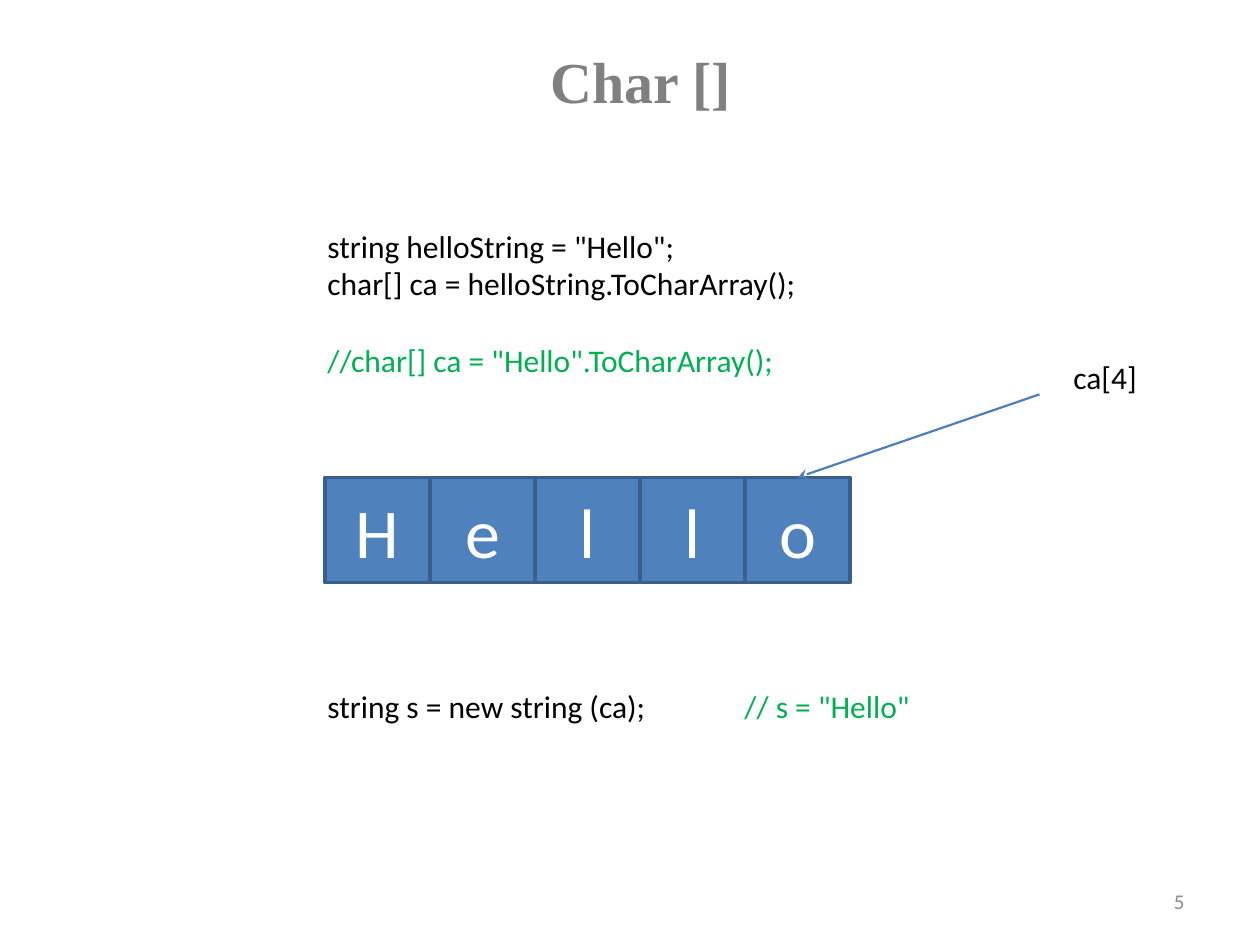
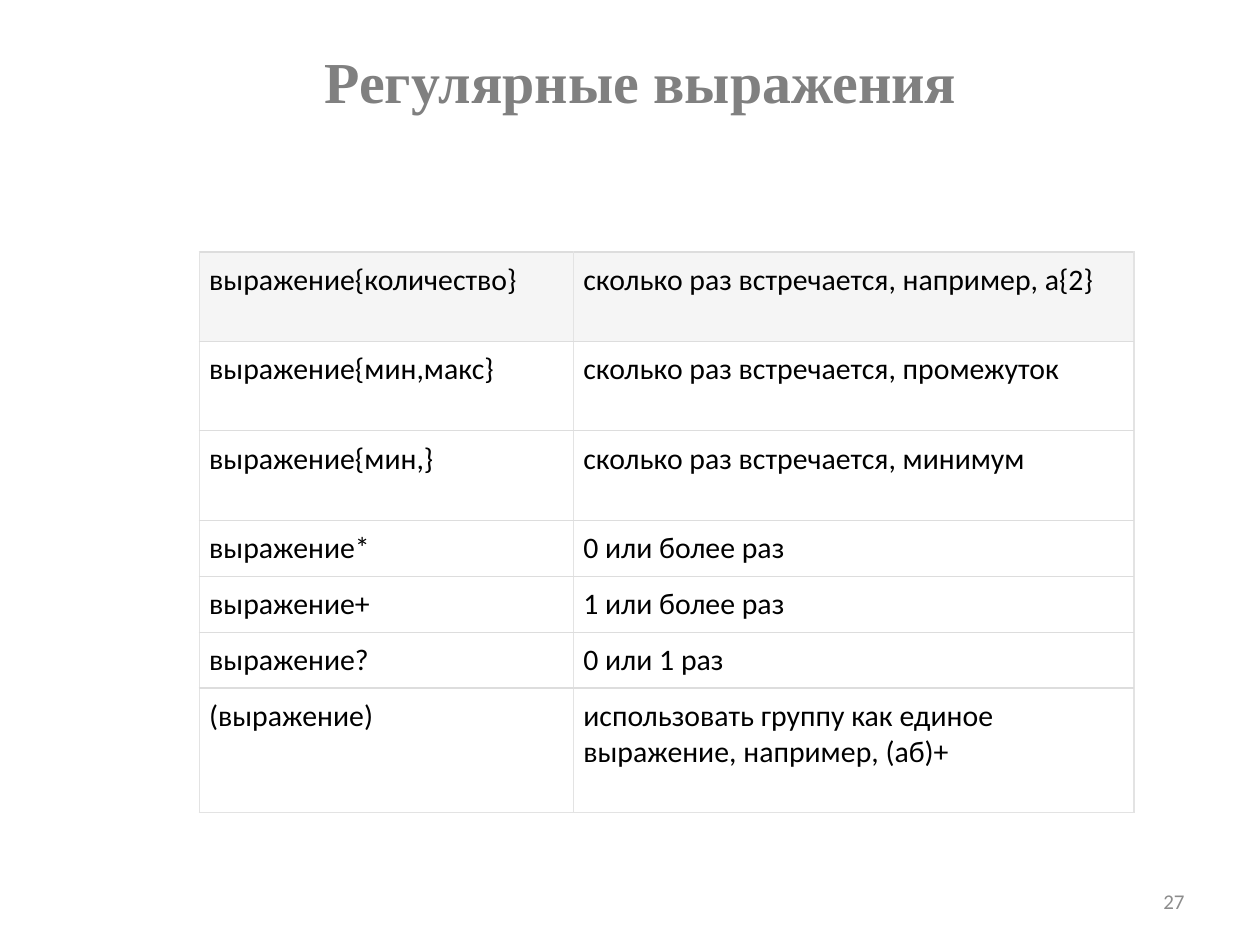
from lxml.etree import SubElement
from pptx import Presentation
from pptx.dml.color import RGBColor
from pptx.enum.shapes import MSO_CONNECTOR, MSO_SHAPE
from pptx.enum.text import MSO_ANCHOR, MSO_AUTO_SIZE, PP_ALIGN
from pptx.oxml.ns import qn
from pptx.util import Inches, Pt

COLORS = {
    "title": "808080", "number": "8C8C8C", "text": "000000", "comment": "00B050",
    "box": "4F81BD", "box_line": "3A5F8C", "arrow": "4B7EBC", "white": "FFFFFF",
    "header": "F5F5F5", "side": "E3E3E3", "rule": "DDDDDD",
}


def rgb(name):
    return RGBColor.from_string(COLORS[name])


def add_run(p, text, size=18, color="text", font="Calibri", bold=False):
    r = p.add_run()
    r.text = text
    r.font.size, r.font.name, r.font.bold = Pt(size), font, bold
    r.font.color.rgb = rgb(color)


class Deck:
    def __init__(self):
        self.prs = Presentation()
        self.prs.slide_width, self.prs.slide_height = Inches(10), Inches(7.5)
        self.s = None

    def slide(self, title, number):
        self.s = self.prs.slides.add_slide(self.prs.slide_layouts[6])
        p = self.text(1, 0.42, 8.17, 0.58, title, align=PP_ALIGN.CENTER, size=33.1,
                      color="title", font="Times New Roman", bold=True)
        p.line_spacing, p.space_before = 0.8, Pt(3.6)
        self.text(7.17, 6.95, 2.33, 0.4, str(number), align=PP_ALIGN.RIGHT,
                  anchor=MSO_ANCHOR.MIDDLE, size=12, color="number")

    def frame(self, x, y, w, h, wrap=True, anchor=MSO_ANCHOR.TOP):
        sp = self.s.shapes.add_textbox(Inches(x), Inches(y), Inches(w), Inches(h))
        tf = sp.text_frame
        tf.word_wrap, tf.vertical_anchor = wrap, anchor
        return tf

    def text(self, x, y, w, h, text, align=PP_ALIGN.LEFT, wrap=True,
             anchor=MSO_ANCHOR.TOP, **fmt):
        p = self.frame(x, y, w, h, wrap, anchor).paragraphs[0]
        p.alignment = align
        add_run(p, text, **fmt)
        return p

    def code(self, x, y, w, h, lines, tab):
        """Each line is (space before in points, [(text, color), ...])."""
        tf = self.frame(x, y, w, h)
        tf.auto_size = MSO_AUTO_SIZE.SHAPE_TO_FIT_TEXT
        for i, (gap, parts) in enumerate(lines):
            p = tf.add_paragraph() if i else tf.paragraphs[0]
            p.space_before = Pt(gap)
            if len(parts) > 1:
                tabs = SubElement(p._p.get_or_add_pPr(), qn("a:tabLst"))
                SubElement(tabs, qn("a:tab"), pos=str(Inches(tab)), algn="l")
            for text, color in parts:
                add_run(p, text, color=color)

    def box(self, x, y, side, letter):
        sp = self.s.shapes.add_shape(MSO_SHAPE.RECTANGLE, Inches(x), Inches(y),
                                     Inches(side), Inches(side))
        sp.shadow.inherit = False
        sp.fill.solid()
        sp.fill.fore_color.rgb = rgb("box")
        sp.line.color.rgb, sp.line.width = rgb("box_line"), Pt(2)
        tf = sp.text_frame
        tf.vertical_anchor = MSO_ANCHOR.MIDDLE
        tf.paragraphs[0].alignment = PP_ALIGN.CENTER
        add_run(tf.paragraphs[0], letter, size=40, color="white")

    def arrow(self, x1, y1, x2, y2):
        line = self.s.shapes.add_connector(MSO_CONNECTOR.STRAIGHT, Inches(x1),
                                           Inches(y1), Inches(x2), Inches(y2))
        line.line.color.rgb, line.line.width = rgb("arrow"), Pt(1.25)
        SubElement(line.line._get_or_add_ln(), qn("a:tailEnd"), type="stealth")
        SubElement(line._element.spPr, qn("a:effectLst"))

    def borders(self, cell, **edges):
        tcPr = cell._tc.get_or_add_tcPr()
        for i, (edge, color) in enumerate(edges.items()):
            ln = tcPr.makeelement(qn(f"a:ln{edge}"), {"w": str(Pt(0.75))})
            tcPr.insert(i, ln)
            fill = SubElement(ln, qn("a:solidFill"))
            SubElement(fill, qn("a:srgbClr"), val=COLORS[color])

    def table(self, x, y, widths, heights, rows):
        table = self.s.shapes.add_table(
            len(rows), len(widths), Inches(x), Inches(y),
            Inches(sum(widths)), Inches(sum(heights))).table
        table.first_row = table.horz_banding = False
        for col, w in zip(table.columns, widths):
            col.width = Inches(w)
        for i, (row, h, texts) in enumerate(zip(table.rows, heights, rows)):
            row.height = Inches(h)
            bottom = "side" if i == len(rows) - 1 else "rule"
            for cell, text in zip(row.cells, texts):
                cell.margin_left = cell.margin_right = Inches(0.08)
                cell.margin_top = cell.margin_bottom = Inches(0.08)
                if i == 0:
                    cell.fill.solid()
                    cell.fill.fore_color.rgb = rgb("header")
                else:
                    cell.fill.background()
                self.borders(cell, L="side", R="side", T="rule", B=bottom)
                add_run(cell.text_frame.paragraphs[0], text, size=17)


deck = Deck()

# Slide 1: a string as an array of characters
deck.slide("Char []", 5)
LINE = 22  # height of one code line in points
deck.code(2.5, 1.75, 5, 4.17, [
    (0, [('string helloString = "Hello";', "text")]),
    (0, [("char[] ca = helloString.ToCharArray();", "text")]),
    (LINE, [('//char[] ca = "Hello".ToCharArray();', "comment")]),
    (8 * LINE, [("string s = new string (ca);\t", "text"),
                ('// s = "Hello"', "comment")]),
], tab=3.31)
SIDE = 2.5 / 3
for i, letter in enumerate("Hello"):
    deck.box(2.58 + i * SIDE, 3.79, SIDE, letter)
deck.arrow(8.25, 3.13, 6.33, 3.79)
deck.text(8.42, 2.79, 0.71, 0.4, "ca[4]", wrap=False)

# Slide 2: regular expression quantifiers
deck.slide("Регулярные выражения", 27)
deck.table(1.58, 2, [2.97, 4.45], [0.71] * 3 + [0.44] * 3 + [0.99], [
    ("выражение{количество}", "сколько раз встречается, например, а{2}"),
    ("выражение{мин,макс}", "сколько раз встречается, промежуток"),
    ("выражение{мин,}", "сколько раз встречается, минимум"),
    ("выражение*", "0 или более раз"),
    ("выражение+", "1 или более раз"),
    ("выражение?", "0 или 1 раз"),
    ("(выражение)", "использовать группу как единое выражение, например, (аб)+"),
])

deck.prs.save("out.pptx")
